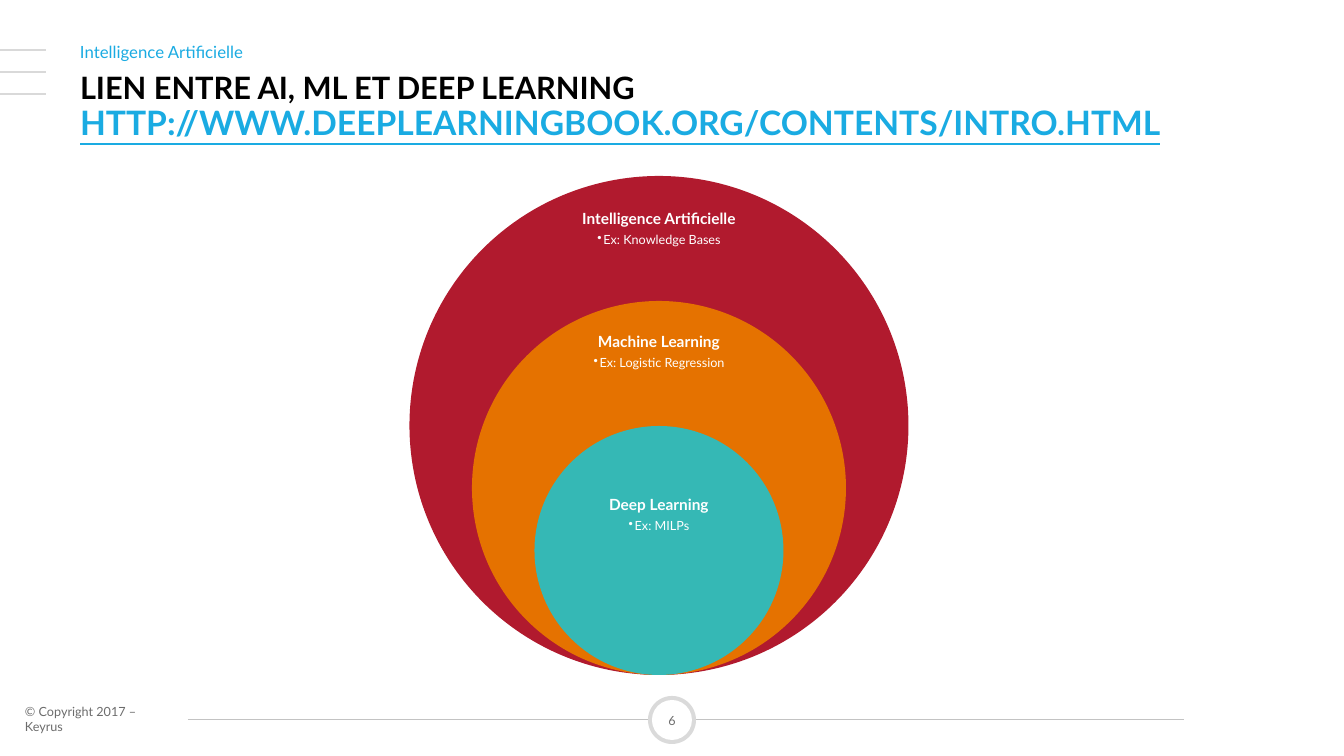
import pptx
import pptx.util
import pptx.dml.color
import pptx.enum.shapes
import pptx.enum.text
import pptx.oxml.ns
from lxml import etree

PP_ALIGN = pptx.enum.text.PP_ALIGN
ANCHOR = pptx.enum.text.MSO_ANCHOR
OVAL = pptx.enum.shapes.MSO_SHAPE.OVAL
STRAIGHT = pptx.enum.shapes.MSO_CONNECTOR.STRAIGHT

FONT = "Lato"
COLORS = {
    "black": "000000", "white": "FFFFFF", "blue": "1AABE2", "grey": "6C6C6C",
    "rule": "C3C3C3", "dash": "D9D9D9", "ring": "DADADA",
    "red": "B11A2E", "orange": "E57200", "teal": "35B8B5",
}
SECTION = "Intelligence Artificielle"
TITLE = "LIEN ENTRE AI, ML ET DEEP LEARNING"
LINK = "HTTP://WWW.DEEPLEARNINGBOOK.ORG/CONTENTS/INTRO.HTML"
COPYRIGHT = "© Copyright 2017 – Keyrus"
PAGE = "6"
# name, example, fill, top of the label
CIRCLES = [
    ("Intelligence Artificielle", "Ex: Knowledge Bases", "red", 202),
    ("Machine Learning", "Ex: Logistic Regression", "orange", 325),
    ("Deep Learning", "Ex: MILPs", "teal", 488),
]
CENTER_X, BOTTOM, DIAMETER, STEP = 659, 675, 499, 125
LABEL_W, LABEL_H, LABEL_INSET = 175, 74, 9
PAGE_X, FOOTER_Y = 672, 720
RING, DISC = 48, 40


def px(n):
    return pptx.util.Emu(round(n * 914400 / 100.8))


def rgb(name):
    return pptx.dml.color.RGBColor.from_string(COLORS[name])


def add_text(p, text, size, color, bold=False, underline=None, align=PP_ALIGN.LEFT,
             spacing=None, after=0):
    p.alignment = align
    p.space_before = pptx.util.Pt(0)
    p.space_after = pptx.util.Pt(after)
    if spacing:
        p.line_spacing = spacing
    r = p.add_run()
    r.text = text
    r.font.name = FONT
    r.font.size = pptx.util.Pt(size)
    r.font.bold = bold
    r.font.underline = underline
    r.font.color.rgb = rgb(color)


def set_frame(sp, inset=0, anchor=ANCHOR.TOP):
    tf = sp.text_frame
    tf.word_wrap = True
    tf.auto_size = pptx.enum.text.MSO_AUTO_SIZE.NONE
    tf.margin_left = tf.margin_top = tf.margin_right = tf.margin_bottom = px(inset)
    tf.vertical_anchor = anchor
    return tf


def add_box(slide, x, y, w, h, **frame):
    return set_frame(slide.shapes.add_textbox(px(x), px(y), px(w), px(h)), **frame)


def add_circle(slide, x, y, d, color):
    """Draw a circle of diameter d centred on x, y."""
    sp = slide.shapes.add_shape(OVAL, px(x - d / 2), px(y - d / 2), px(d), px(d))
    sp.shadow.inherit = False
    sp.fill.solid()
    sp.fill.fore_color.rgb = rgb(color)
    sp.line.fill.background()
    return sp


def add_rule(slide, x1, x2, y, color, width):
    line = slide.shapes.add_connector(STRAIGHT, px(x1), px(y), px(x2), px(y))
    line.line.color.rgb = rgb(color)
    line.line.width = pptx.util.Pt(width)
    etree.SubElement(line._element.spPr, pptx.oxml.ns.qn("a:effectLst"))


def add_bullet(p, indent):
    pPr = p._p.get_or_add_pPr()
    pPr.set("marL", str(px(indent)))
    pPr.set("indent", str(-px(indent)))
    etree.SubElement(pPr, pptx.oxml.ns.qn("a:buChar")).set("char", "•")


def add_footer(slide):
    tf = add_box(slide, 25, 711, 145, 16, anchor=ANCHOR.MIDDLE)
    add_text(tf.paragraphs[0], COPYRIGHT, 9, "grey")
    add_circle(slide, PAGE_X, FOOTER_Y, RING, "ring")
    disc = add_circle(slide, PAGE_X, FOOTER_Y, DISC, "white")
    tf = set_frame(disc, anchor=ANCHOR.MIDDLE)
    add_text(tf.paragraphs[0], PAGE, 9, "grey", align=PP_ALIGN.CENTER)
    add_rule(slide, 188, PAGE_X - RING / 2, FOOTER_Y, "rule", 0.75)
    add_rule(slide, PAGE_X + RING / 2, 1184, FOOTER_Y, "rule", 0.75)


def add_heading(slide):
    for i in range(3):
        add_rule(slide, 0, 46, 50 + 22 * i, "dash", 1.75)
    title = slide.shapes.title
    title.left, title.top, title.width, title.height = px(80), px(73), px(1185), px(35)
    p = set_frame(title).paragraphs[0]
    add_text(p, TITLE, 22, "black", bold=True, spacing=0.9)
    p.add_line_break()
    add_text(p, LINK, 24, "blue", bold=True, underline=True, spacing=0.9)
    tf = add_box(slide, 80, 45, 1185, 17, anchor=ANCHOR.BOTTOM)
    add_text(tf.paragraphs[0], SECTION, 12, "blue", spacing=0.85)


def add_nested_circles(slide):
    for i, (name, example, color, top) in enumerate(CIRCLES):
        d = DIAMETER - STEP * i
        add_circle(slide, CENTER_X, BOTTOM - d / 2, d, color)
        tf = add_box(slide, CENTER_X - LABEL_W / 2, top, LABEL_W, LABEL_H, inset=LABEL_INSET)
        add_text(tf.paragraphs[0], name, 11, "white", bold=True,
                 align=PP_ALIGN.CENTER, spacing=0.9, after=4)
        p = tf.add_paragraph()
        p.level = 1
        add_bullet(p, 6)
        add_text(p, example, 9, "white", align=PP_ALIGN.CENTER, spacing=0.9, after=1)


def main():
    prs = pptx.Presentation()
    prs.slide_width, prs.slide_height = px(1344), px(756)
    slide = prs.slides.add_slide(prs.slide_layouts[5])
    add_footer(slide)
    add_heading(slide)
    add_nested_circles(slide)
    prs.save("out.pptx")


if __name__ == "__main__":
    main()
